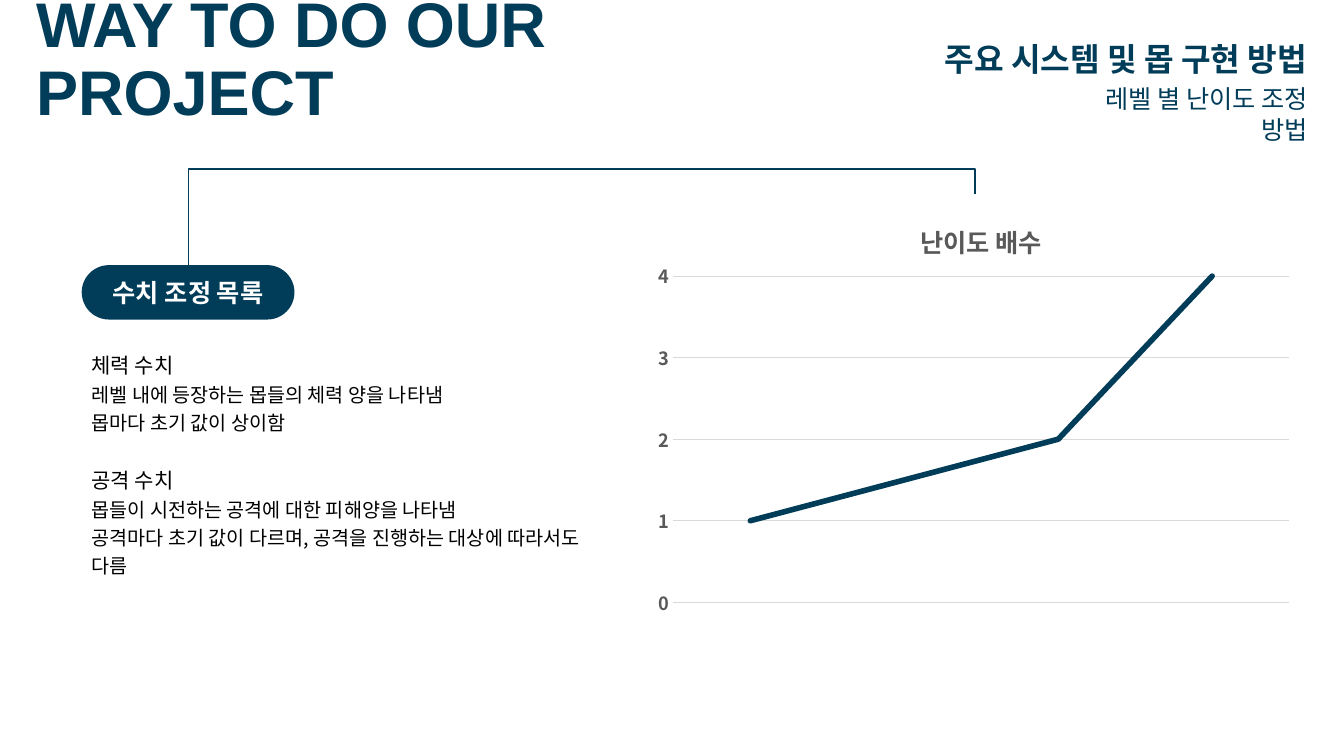
from lxml import etree
from pptx import Presentation
from pptx.chart.data import CategoryChartData
from pptx.dml.color import RGBColor
from pptx.enum.chart import XL_CHART_TYPE, XL_TICK_MARK
from pptx.enum.shapes import MSO_CONNECTOR, MSO_SHAPE
from pptx.enum.text import MSO_ANCHOR, PP_ALIGN
from pptx.oxml import parse_xml
from pptx.oxml.ns import nsdecls, qn
from pptx.util import Inches, Pt

NAVY = RGBColor(0x01, 0x3C, 0x59)
WHITE = RGBColor(0xFF, 0xFF, 0xFF)
BLACK = RGBColor(0, 0, 0)
GRAY = RGBColor(0x59, 0x59, 0x59)
PALE = RGBColor(0xD9, 0xD9, 0xD9)
LATIN = "Arial"
KOREAN = "Noto Sans CJK KR"
LEFT, MID, RIGHT = PP_ALIGN.LEFT, PP_ALIGN.CENTER, PP_ALIGN.RIGHT
TOP, MIDDLE = MSO_ANCHOR.TOP, MSO_ANCHOR.MIDDLE
LINE = XL_CHART_TYPE.LINE
NO_TICK = XL_TICK_MARK.NONE
ELBOW = MSO_CONNECTOR.ELBOW
ROUND = MSO_SHAPE.ROUNDED_RECTANGLE
WIDE, HIGH = Inches(13.33), Inches(7.5)

NOTES = [
    ("체력 수치", [
        "레벨 내에 등장하는 몹들의 체력 양을 나타냄",
        "몹마다 초기 값이 상이함",
    ]),
    ("공격 수치", [
        "몹들이 시전하는 공격에 대한 피해양을 나타냄",
        "공격마다 초기 값이 다르며, 공격을 진행하는 대상에 따라서도 다름",
    ]),
]


def spot(x, y):
    """Turn percentages of the slide into lengths."""
    return int(WIDE * x / 100), int(HIGH * y / 100)


def style(font, size, color, bold=False, name=KOREAN):
    """Set the look of a font."""
    font.name, font.size, font.bold = name, Pt(size), bold
    font.color.rgb = color


def write(para, text, size, color, bold=False, name=KOREAN, align=LEFT, gap=1.0):
    """Fill one paragraph."""
    para.text = text
    para.alignment, para.line_spacing = align, gap
    style(para.runs[0].font, size, color, bold, name)


def label(slide, box, text, size, anchor=MIDDLE, **look):
    """Add a wrapped line of text."""
    frame = slide.shapes.add_textbox(*spot(*box[:2]), *spot(*box[2:])).text_frame
    frame.word_wrap, frame.vertical_anchor = True, anchor
    write(frame.paragraphs[0], text, size, NAVY, **look)


def pill(slide, box, text):
    """Add a round heading."""
    shape = slide.shapes.add_shape(ROUND, *spot(*box[:2]), *spot(*box[2:]))
    shape.adjustments[0] = 0.5
    shape.shadow.inherit = False
    shape.fill.solid()
    shape.fill.fore_color.rgb = NAVY
    shape.line.fill.background()
    shape.text_frame.vertical_anchor = MIDDLE
    write(shape.text_frame.paragraphs[0], text, 18, WHITE, True, align=MID)


def notes(slide, box, groups):
    """Add headed groups of lines."""
    frame = slide.shapes.add_textbox(*spot(*box[:2]), *spot(*box[2:])).text_frame
    frame.word_wrap = True
    para = frame.paragraphs[0]
    for rank, (head, lines) in enumerate(groups):
        if rank:
            para = frame.add_paragraph()
            para.space_before = Pt(20.5)
        write(para, head, 15, BLACK, gap=1.2)
        for line in lines:
            write(frame.add_paragraph(), line, 14, BLACK, gap=1.2)


def link(slide, start, end, bend):
    """Add an elbow that rises from start, crosses and drops to end."""
    (ax, ay), (bx, by) = spot(*start), spot(*end)
    cx, cy = (ax + bx) // 2, (ay + by) // 2
    dx, dy = (ay - by) // 2, (bx - ax) // 2
    wire = slide.shapes.add_connector(ELBOW, cx + dx, cy + dy, cx - dx, cy - dy)
    wire.line.color.rgb = NAVY
    wire.line.width = Pt(1)
    props = wire.element.spPr
    props.find(qn("a:xfrm")).set("rot", "5400000")
    geom = props.find(qn("a:prstGeom"))
    for old in list(geom):
        geom.remove(old)
    guide = etree.SubElement(etree.SubElement(geom, qn("a:avLst")), qn("a:gd"))
    guide.set("name", "adj1")
    guide.set("fmla", f"val {round(bend * 100000)}")
    etree.SubElement(props, qn("a:effectLst"))


def place(node, inner=False, **shares):
    """Fix a chart part by shares of the chart."""
    for old in node.findall(qn("c:layout")):
        node.remove(old)
    parts = '<c:layoutTarget val="inner"/>' if inner else ""
    parts += "".join(f'<c:{key}Mode val="edge"/>' for key in "xy")
    parts += "".join(f'<c:{key} val="{val}"/>' for key, val in shares.items())
    layout = parse_xml(
        f'<c:layout {nsdecls("c")}><c:manualLayout>{parts}</c:manualLayout></c:layout>')
    text = node.find(qn("c:tx"))
    if text is None:
        node.insert(0, layout)
    else:
        text.addnext(layout)


def graph(slide, box, title, vals):
    """Add the line chart of difficulty."""
    data = CategoryChartData()
    data.categories = [str(num + 1) for num in range(len(vals))]
    data.add_series("Series 1", vals)
    chart = slide.shapes.add_chart(LINE, *spot(*box[:2]), *spot(*box[2:]), data).chart
    style(chart.font, 10, BLACK)
    chart.has_legend = False
    chart.has_title = True
    head = chart.chart_title
    head.include_in_layout = False
    write(head.text_frame.paragraphs[0], title, 18, GRAY, True, align=MID)
    place(head._element, x=0.41, y=0.05)
    place(chart._chartSpace.chart.plotArea, True, x=0.04, y=0.19, w=0.94, h=0.76)

    chart.category_axis.visible = False
    axis = chart.value_axis
    axis.minimum_scale, axis.maximum_scale, axis.major_unit = 0, 4, 1
    axis.major_tick_mark = axis.minor_tick_mark = NO_TICK
    axis.format.line.fill.background()
    axis.major_gridlines.format.line.color.rgb = PALE
    axis.major_gridlines.format.line.width = Pt(0.75)
    style(axis.tick_labels.font, 13, GRAY, True)

    plot = chart.plots[0]
    plot.vary_by_categories = False
    series = plot.series[0]
    series.smooth = False
    series.format.line.color.rgb = NAVY
    series.format.line.width = Pt(4)
    series._element.find(qn("c:spPr")).find(qn("a:ln")).set("cap", "rnd")


def main():
    """Build the slide and save it."""
    deck = Presentation()
    deck.slide_width, deck.slide_height = WIDE, HIGH
    slide = deck.slides.add_slide(deck.slide_layouts[6])
    label(slide, (1.95, 3.07, 43.35, 10), "WAY TO DO OUR PROJECT", 45,
          bold=True, name=LATIN, gap=0.9)
    label(slide, (59.93, 3.07, 38.1, 10), "주요 시스템 및 몹 구현 방법", 23,
          bold=True, align=RIGHT, gap=0.9)
    label(slide, (78.38, 10.4, 19.65, 5.33), "레벨 별 난이도 조정 방법", 18,
          anchor=TOP, align=RIGHT)
    graph(slide, (48.15, 25.73, 48.75, 56.8), "난이도 배수", (1, 1.5, 2, 4))
    pill(slide, (6.08, 35.07, 15.83, 7.2), "수치 조정 목록")
    notes(slide, (6.08, 45.33, 39.3, 28), NOTES)
    link(slide, (14.03, 35.07), (72.53, 25.73), 1.36)
    deck.save("out.pptx")


if __name__ == "__main__":
    main()
